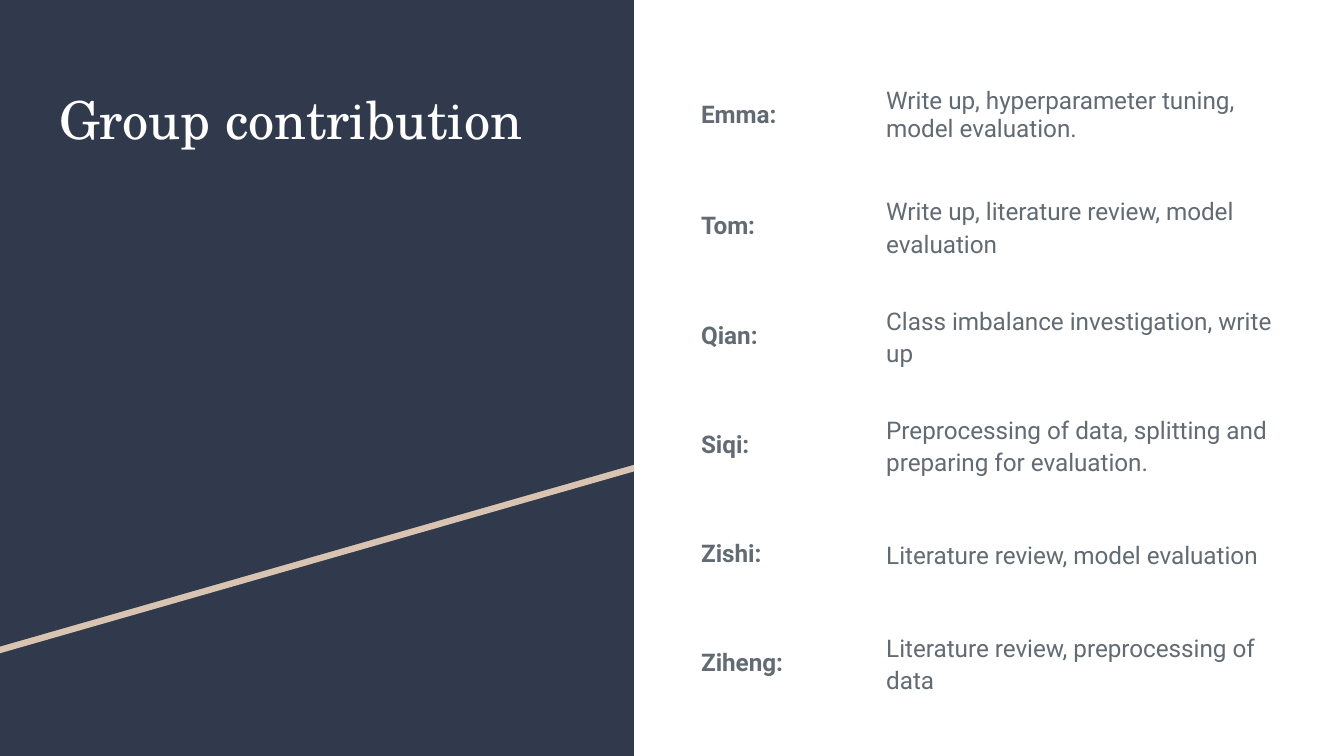
from lxml import etree
from pptx import Presentation
from pptx.dml.color import RGBColor
from pptx.enum import shapes, text
from pptx.oxml import ns
from pptx.util import Pt

NAVY, SAND, WHITE, GREY = "31394D", "D9C4B1", "FFFFFF", "626B73"
PANEL_W, SLIDE_W, SLIDE_H = 339.6, 720, 405
PAD = 7.2

CONTRIBUTIONS = [
    ("Emma:", "Write up, hyperparameter tuning, model evaluation."),
    ("Tom:", "Write up, literature review, model evaluation"),
    ("Qian:", "Class imbalance investigation, write up"),
    ("Siqi:", "Preprocessing of data, splitting and preparing for evaluation."),
    ("Zishi:", "Literature review, model evaluation"),
    ("Ziheng:", "Literature review, preprocessing of data"),
]


def color(value):
    return RGBColor.from_string(value)


class Deck:
    """Holds the fonts and the slide being drawn."""

    title_font = "TeX Gyre Schola"
    body_font = "Roboto"

    def __init__(self, s):
        self.s = s

    def paint(self, sp, fill):
        sp.shadow.inherit = False
        sp.fill.solid()
        sp.fill.fore_color.rgb = color(fill)
        sp.line.fill.background()

    def rect(self, x, y, w, h, fill):
        sp = self.s.shapes.add_shape(
            shapes.MSO_SHAPE.RECTANGLE, Pt(x), Pt(y), Pt(w), Pt(h))
        self.paint(sp, fill)

    def polygon(self, points, fill):
        start, *rest = [(Pt(x), Pt(y)) for x, y in points]
        builder = self.s.shapes.build_freeform(*start)
        builder.add_line_segments(rest, close=True)
        self.paint(builder.convert_to_shape(), fill)

    def set_text(self, p, words, name, size, fill, bold=False):
        p.text = words
        p.font.name = name
        p.font.size = Pt(size)
        p.font.bold = bold
        p.font.color.rgb = color(fill)

    def title(self, x, y, w, h, words):
        tf = self.s.shapes.add_textbox(Pt(x), Pt(y), Pt(w), Pt(h)).text_frame
        tf.word_wrap = True
        tf.margin_left = tf.margin_right = Pt(PAD)
        tf.margin_top = tf.margin_bottom = Pt(PAD)
        self.set_text(tf.paragraphs[0], words, self.title_font, 28, WHITE)

    def cell(self, cell, words, bold):
        """Fill in a clear, borderless cell and return its paragraph."""
        cell.margin_left = cell.margin_right = Pt(PAD)
        cell.margin_top = cell.margin_bottom = Pt(PAD)
        cell.vertical_anchor = text.MSO_ANCHOR.MIDDLE
        tc_pr = cell._tc.get_or_add_tcPr()
        for side in ("a:lnL", "a:lnR", "a:lnT", "a:lnB"):
            line = etree.SubElement(tc_pr, ns.qn(side))
            etree.SubElement(line, ns.qn("a:noFill"))
        cell.fill.background()
        p = cell.text_frame.paragraphs[0]
        self.set_text(p, words, self.body_font, 13, GREY, bold)
        return p

    def table(self, x, y, widths, heights, rows):
        table = self.s.shapes.add_table(
            len(rows), len(widths), Pt(x), Pt(y),
            Pt(sum(widths)), Pt(sum(heights))).table
        table.first_row = table.horz_banding = False
        for column, width in zip(table.columns, widths):
            column.width = Pt(width)
        for i, (name, task) in enumerate(rows):
            table.rows[i].height = Pt(heights[i])
            self.cell(table.cell(i, 0), name, True)
            p = self.cell(table.cell(i, 1), task, False)
            if i:
                p.line_spacing = 1.15
                p.space_after = Pt(12)


def main():
    prs = Presentation()
    prs.slide_width, prs.slide_height = Pt(SLIDE_W), Pt(SLIDE_H)
    deck = Deck(prs.slides.add_slide(prs.slide_layouts[6]))

    deck.rect(0, 0, PANEL_W, SLIDE_H, NAVY)
    for top, fill in ((3.6, SAND), (0, NAVY)):
        deck.polygon([(0, top), (PANEL_W, top),
                      (PANEL_W, top + 249), (0, top + 346.4)], fill)

    deck.title(24.6, 39.6, 291.6, 197.3, "Group contribution")
    deck.table(368.4, 31, [99.2, 229], [61.2] + [58.5] * 5, CONTRIBUTIONS)
    prs.save("out.pptx")


if __name__ == "__main__":
    main()
